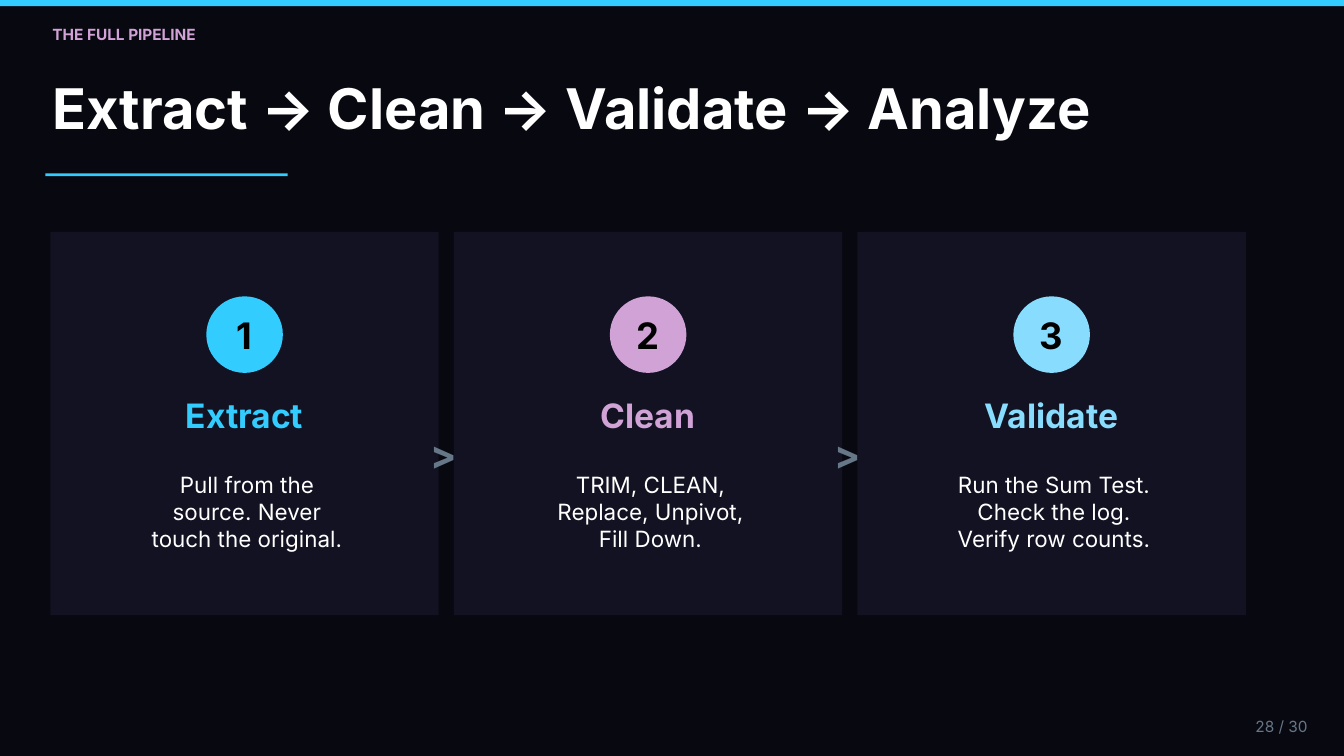
from dataclasses import dataclass

from pptx import Presentation
from pptx.dml.color import RGBColor
from pptx.enum.shapes import MSO_SHAPE
from pptx.enum.text import PP_ALIGN
from pptx.util import Pt


@dataclass(frozen=True)
class Theme:
    font: str = "Inter"
    background: str = "080810"
    card: str = "121222"
    cyan: str = "33CCFF"
    pink: str = "D1A2D6"
    sky: str = "88DDFF"
    white: str = "FFFFFF"
    black: str = "000000"
    muted: str = "667788"
    title_size: float = 60
    chevron_size: float = 42
    number_size: float = 39
    heading_size: float = 36
    body_size: float = 24
    small_size: float = 16.5
    leading: float = 1.2


THEME = Theme()

STEPS = [
    ("Extract", "Pull from the\nsource. Never\ntouch the original.", THEME.cyan),
    ("Clean", "TRIM, CLEAN,\nReplace, Unpivot,\nFill Down.", THEME.pink),
    ("Validate", "Run the Sum Test.\nCheck the log.\nVerify row counts.", THEME.sky),
]


def add_filled(slide, kind, box, color):
    shape = slide.shapes.add_shape(kind, *map(Pt, box))
    shape.shadow.inherit = False
    shape.fill.solid()
    shape.fill.fore_color.rgb = RGBColor.from_string(color)
    shape.line.fill.background()


def add_text(slide, box, text, size, color, bold=False, align=PP_ALIGN.LEFT):
    frame = slide.shapes.add_textbox(*map(Pt, box)).text_frame
    frame.margin_left = frame.margin_right = frame.margin_top = frame.margin_bottom = 0
    frame.word_wrap = True
    frame.text = text
    for paragraph in frame.paragraphs:
        paragraph.alignment = align
        paragraph.line_spacing = Pt(size * THEME.leading)
        for run in paragraph.runs:
            run.font.name = THEME.font
            run.font.size = Pt(size)
            run.font.bold = bold
            run.font.color.rgb = RGBColor.from_string(color)


def add_header(slide, box):
    left, top, width, height = box
    # Accent bar, section label, title and underline
    add_filled(slide, MSO_SHAPE.RECTANGLE, (left, top, width, 6.5), THEME.cyan)
    add_text(slide, (left + 56.2, top + 26.6, 850, 20), "THE FULL PIPELINE",
             THEME.small_size, THEME.pink, bold=True)
    add_text(slide, (left + 56.2, top + 79.2, 1282, 72),
             "Extract -> Clean -> Validate -> Analyze",
             THEME.title_size, THEME.white, bold=True)
    add_filled(slide, MSO_SHAPE.RECTANGLE,
               (left + 48.6, top + height - 3, 259.5, 3), THEME.cyan)


def add_step_card(slide, box, number, heading, body, accent):
    left, top, width, height = box
    center = left + width / 2
    badge, number_width = 82, 68
    add_filled(slide, MSO_SHAPE.RECTANGLE, box, THEME.card)
    # Numbered badge
    add_filled(slide, MSO_SHAPE.OVAL,
               (center - badge / 2, top + 69, badge, badge), accent)
    add_text(slide, (center - number_width / 2, top + 87, number_width, 47),
             str(number), THEME.number_size, THEME.black, True, PP_ALIGN.CENTER)
    # Heading and description
    add_text(slide, (left + 7, top + 175, width - 14, 43), heading,
             THEME.heading_size, accent, True, PP_ALIGN.CENTER)
    add_text(slide, (left + 18, top + 256.3, 385, 86), body,
             THEME.body_size, THEME.white, align=PP_ALIGN.CENTER)


def add_pipeline(slide, box):
    left, top, width, height = box
    gap = 16.3
    card_width = (width - gap * (len(STEPS) - 1)) / len(STEPS)
    for index, (heading, body, accent) in enumerate(STEPS):
        card_left = left + index * (card_width + gap)
        add_step_card(slide, (card_left, top, card_width, height),
                      index + 1, heading, body, accent)
        # Chevron leading to the next step
        if index < len(STEPS) - 1:
            add_text(slide, (card_left + card_width - 8.5, top + 213, 28, 50), ">",
                     THEME.chevron_size, THEME.muted, True, PP_ALIGN.CENTER)


def add_page_number(slide, box):
    add_text(slide, box, "28 / 30", THEME.small_size, THEME.muted,
             align=PP_ALIGN.RIGHT)


def main():
    presentation = Presentation()
    presentation.slide_width = Pt(1440)
    presentation.slide_height = Pt(810)
    slide = presentation.slides.add_slide(presentation.slide_layouts[6])
    slide.background.fill.solid()
    slide.background.fill.fore_color.rgb = RGBColor.from_string(THEME.background)

    add_header(slide, (0, 0, 1440, 188.7))
    add_pipeline(slide, (54, 248.5, 1280.8, 410.5))
    add_page_number(slide, (1296.5, 768.2, 104.5, 20))
    presentation.save("out.pptx")


if __name__ == "__main__":
    main()
